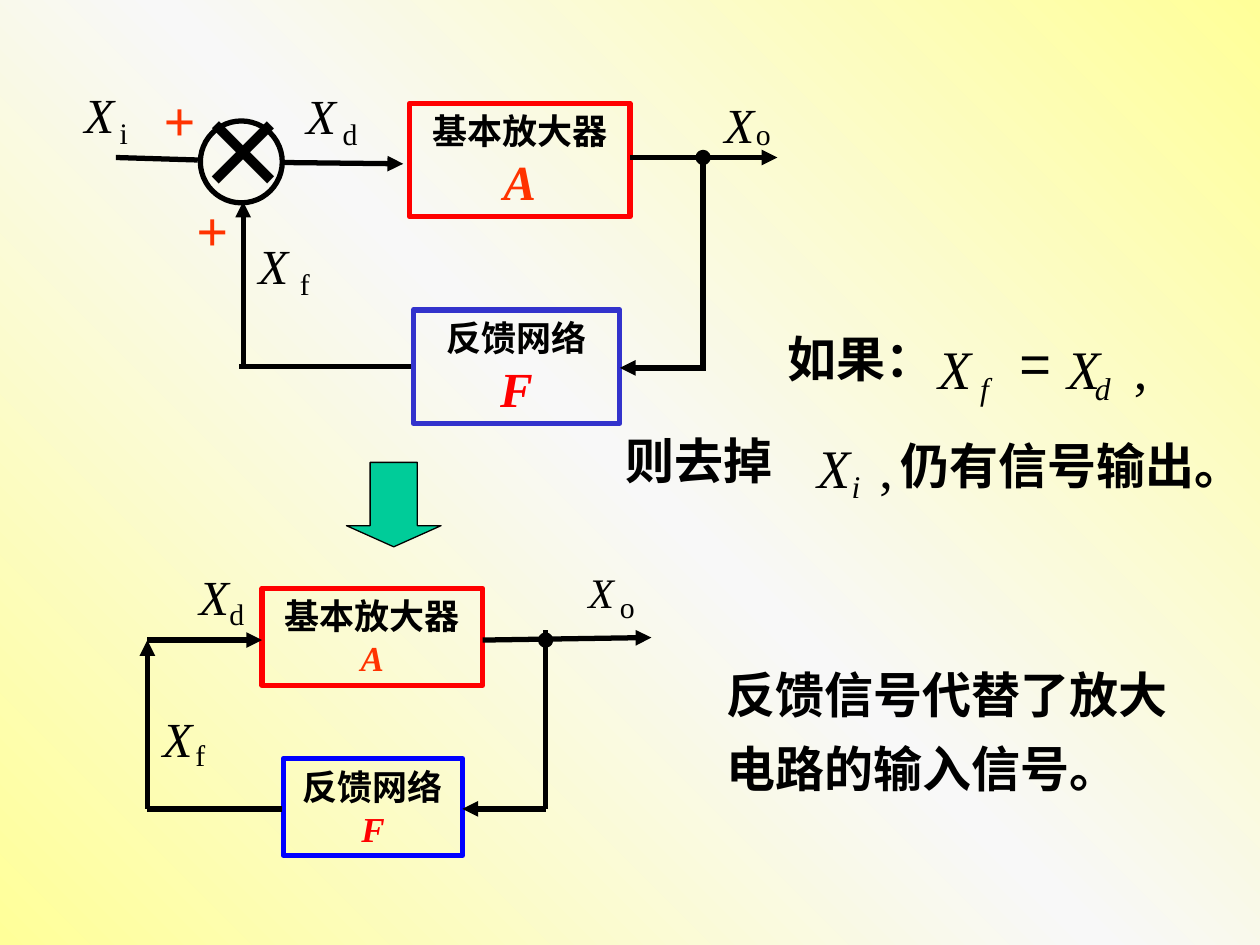
from copy import deepcopy

from lxml import etree
from pptx import Presentation
from pptx.dml.color import RGBColor
from pptx.enum import shapes, text
from pptx.oxml.ns import qn
from pptx.util import Inches, Pt

THEME = {
    "font": "Times New Roman", "symbol_font": "Arial",
    "ink": "000000", "red": "FF0000", "orange": "FF3300",
    "indigo": "3333CC", "blue": "0000FF", "green": "00CC99",
    "background": ["FFFF99", "F8F8F8", "FFFF99"],
    "sentence": 28, "block": 20, "sign": 32, "cross": 80,
    "line": 3, "thin_line": 0.75,
}

# Sentences: left, top, width, height, lines
SENTENCES = [
    (6.15, 2.56, 1.65, 0.57, ["如果："]),
    (4.87, 3.37, 3.26, 0.57, ["则去掉"]),
    (7.05, 3.41, 3.03, 0.57, ["仍有信号输出。"]),
    (5.67, 5.33, 3.86, 1.05, ["反馈信号代替了放大", "电路的输入信号。"]),
]

# Formula glyphs: character, left, top, size, italic
GLYPHS = [
    # Condition: Xf = Xd,
    ("X", 7.45, 2.66, 31, True), ("f", 7.78, 2.93, 18, True),
    ("=", 8.09, 2.61, 31, False),
    ("X", 8.47, 2.66, 31, True), ("d", 8.69, 2.93, 18, True),
    (",", 9.0, 2.66, 31, False),
    # Removed input: Xi,
    ("X", 6.49, 3.45, 31, True), ("i", 6.76, 3.71, 18, True),
    (",", 6.98, 3.45, 31, False),
    # Upper loop
    ("X", 0.67, 0.67, 28, True), ("i", 0.95, 0.91, 17, False),
    ("X", 2.43, 0.68, 28, True), ("d", 2.72, 0.92, 17, False),
    ("X", 5.75, 0.75, 28, True), ("o", 6.0, 0.92, 17, False),
    ("X", 2.05, 1.87, 28, True), ("f", 2.38, 2.11, 17, False),
    # Lower loop
    ("X", 1.58, 4.5, 28, True), ("d", 1.82, 4.73, 17, False),
    ("X", 4.67, 4.5, 24, True), ("o", 4.92, 4.67, 17, False),
    ("X", 1.29, 5.62, 28, True), ("f", 1.55, 5.85, 17, False),
]
GLYPH_WIDTH = {"X": 0.61, "d": 0.5, "o": 0.5, "f": 0.28, "i": 0.28,
               ",": 0.25, "=": 0.58}  # in ems

# Blocks: left, top, width, height, border, name, symbol, symbol colour and size
BLOCKS = [
    (3.25, 0.82, 1.75, 0.9, "red", "基本放大器", "A", "orange", 28),
    (3.28, 2.46, 1.64, 0.9, "indigo", "反馈网络", "F", "red", 28),
    (2.08, 4.67, 1.75, 0.77, "red", "基本放大器", "A", "orange", 20),
    (2.25, 6.02, 1.42, 0.77, "blue", "反馈网络", "F", "red", 20),
]

# Wires: start, end, whether the end has an arrowhead
WIRES = [
    # Upper loop
    ((0.92, 1.25), (1.57, 1.27), False),
    ((2.25, 1.29), (3.2, 1.3), True),
    ((5, 1.25), (6.17, 1.25), True),
    ((5.58, 1.25), (5.58, 2.9), False),
    ((5.6, 2.92), (4.92, 2.92), True),
    ((3.26, 2.91), (1.9, 2.91), False),
    ((1.93, 2.92), (1.93, 1.6), True),
    # Lower loop
    ((3.83, 5.08), (5.17, 5.06), True),
    ((4.33, 5), (4.33, 6.42), False),
    ((4.33, 6.42), (3.67, 6.42), True),
    ((2.24, 6.42), (1.17, 6.42), False),
    ((1.17, 6.42), (1.17, 5.08), True),
    ((1.17, 5.08), (2.08, 5.08), True),
]

# Summing circle and junction dots: left, top, size, filled
CIRCLES = [(1.59, 0.96, 0.65, False), (5.54, 1.21, 0.08, True),
           (4.29, 5.04, 0.08, True)]

# Signs at the summing point: character, left, top, width, height, size, colour
SIGNS = [("+", 1.2, 0.63, 1.02, 0.64, "sign", "orange"),
         ("+", 1.46, 1.5, 0.9, 0.64, "sign", "orange"),
         ("×", 1.51, 0.42, 0.69, 1.44, "cross", "ink")]


def rgb(name):
    return RGBColor.from_string(THEME[name])


def style(p, size, color="ink", bold=False, italic=False, font="font"):
    for r in p.runs:
        f = r.font
        f.name, f.size, f.bold, f.italic = THEME[font], Pt(size), bold, italic
        f.color.rgb = rgb(color)


def add_text(s, box, lines, wrap=True, margins=True, **fmt):
    tf = s.shapes.add_textbox(*map(Inches, box)).text_frame
    tf.word_wrap = wrap
    tf.auto_size = text.MSO_AUTO_SIZE.SHAPE_TO_FIT_TEXT
    if not margins:
        tf.margin_left = tf.margin_right = tf.margin_top = tf.margin_bottom = 0
    tf.text = "\n".join(lines)
    for p in tf.paragraphs:
        style(p, **fmt)
    return tf


def add_shape(s, kind, box, fill=None, line="ink", width="line"):
    sp = s.shapes.add_shape(kind, *map(Inches, box))
    sp.shadow.inherit = False
    if fill:
        sp.fill.solid()
        sp.fill.fore_color.rgb = rgb(fill)
    else:
        sp.fill.background()
    sp.line.color.rgb = rgb(line)
    sp.line.width = Pt(THEME[width])
    return sp


def add_wire(s, start, end, arrow):
    c = s.shapes.add_connector(shapes.MSO_CONNECTOR.STRAIGHT,
                               *map(Inches, start + end))
    c.line.color.rgb = rgb("ink")
    c.line.width = Pt(THEME["line"])
    if arrow:
        etree.SubElement(c.line._get_or_add_ln(), qn("a:tailEnd"), type="triangle")
    etree.SubElement(c._element.spPr, qn("a:effectLst"))


def paint_background(s):
    fill = s.background.fill
    fill.gradient()
    fill.gradient_angle = 225
    stops = s._element.find(".//" + qn("a:gsLst"))
    stops.insert(1, deepcopy(stops[0]))
    for i, stop in enumerate(fill.gradient_stops):
        stop.position = i / 2
        stop.color.rgb = RGBColor.from_string(THEME["background"][i])


def main():
    prs = Presentation()
    prs.slide_width, prs.slide_height = Inches(10), Inches(7.5)
    s = prs.slides.add_slide(prs.slide_layouts[6])
    paint_background(s)

    # Explanation
    for *box, lines in SENTENCES:
        tf = add_text(s, box, lines, size=THEME["sentence"], bold=True)
        if len(lines) > 1:
            for p in tf.paragraphs:
                p.line_spacing = 0.75
            for p in tf.paragraphs[1:]:
                p.space_before = Pt(17.5)

    # Step from the upper loop to the lower one
    add_shape(s, shapes.MSO_SHAPE.DOWN_ARROW, (2.75, 3.67, 0.75, 0.67),
              "green", width="thin_line").adjustments[1] = 0.25

    # Blocks
    for *box, border, name, symbol, color, size in BLOCKS:
        tf = add_shape(s, shapes.MSO_SHAPE.RECTANGLE, box, line=border).text_frame
        tf.word_wrap = True
        tf.vertical_anchor = text.MSO_ANCHOR.MIDDLE
        tf.text = f"{name}\n{symbol}"
        for p in tf.paragraphs:
            p.alignment = text.PP_ALIGN.CENTER
        style(tf.paragraphs[0], THEME["block"], bold=True)
        style(tf.paragraphs[1], size, color, bold=True, italic=True)

    # Wires, circles and signs
    for wire in WIRES:
        add_wire(s, *wire)
    for left, top, size, filled in CIRCLES:
        add_shape(s, shapes.MSO_SHAPE.OVAL, (left, top, size, size),
                  "ink" if filled else None)
    for char, *box, size, color in SIGNS:
        cross = char == "×"
        add_text(s, box, [char], size=THEME[size], color=color, bold=not cross,
                 font="symbol_font" if cross else "font")

    # Formula glyphs
    for char, left, top, size, italic in GLYPHS:
        box = (left, top, GLYPH_WIDTH[char] * size / 72, size / 60)
        add_text(s, box, [char], wrap=False, margins=False, size=size,
                 italic=italic, font="symbol_font" if char == "=" else "font")

    prs.save("out.pptx")


if __name__ == "__main__":
    main()
